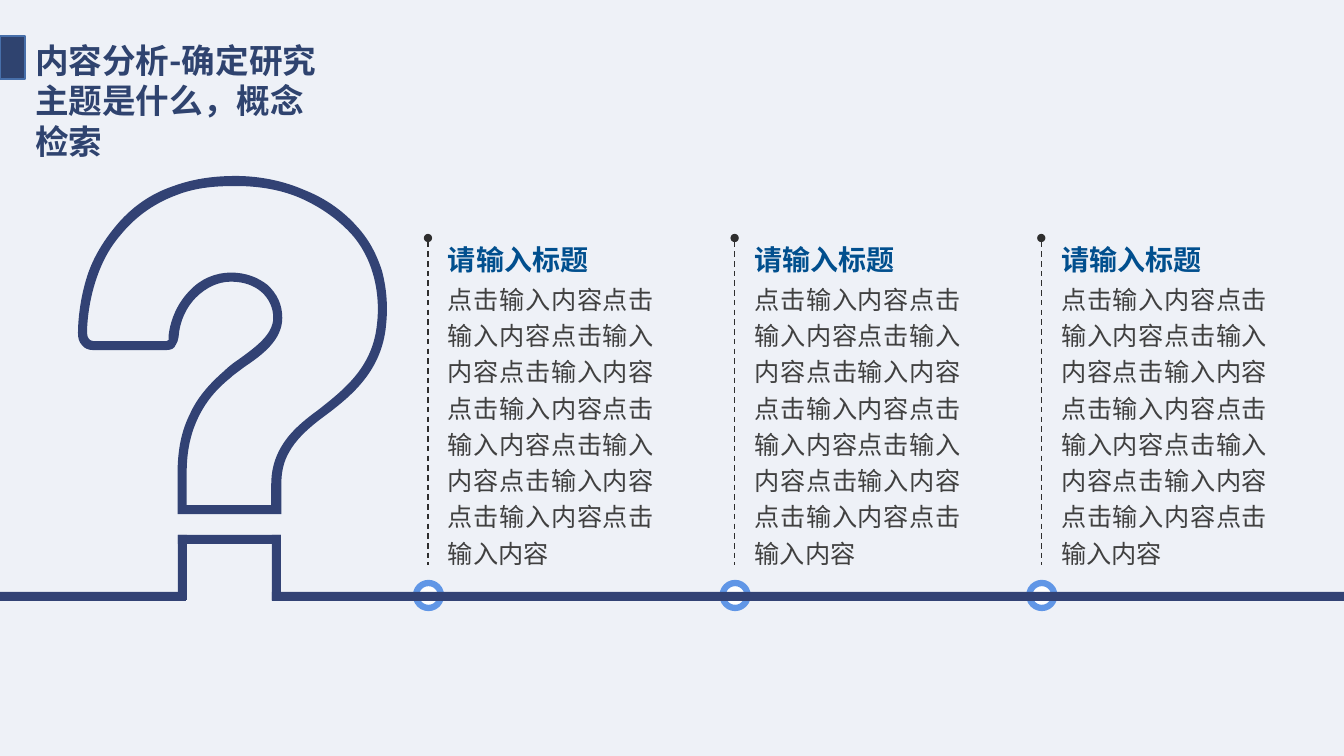
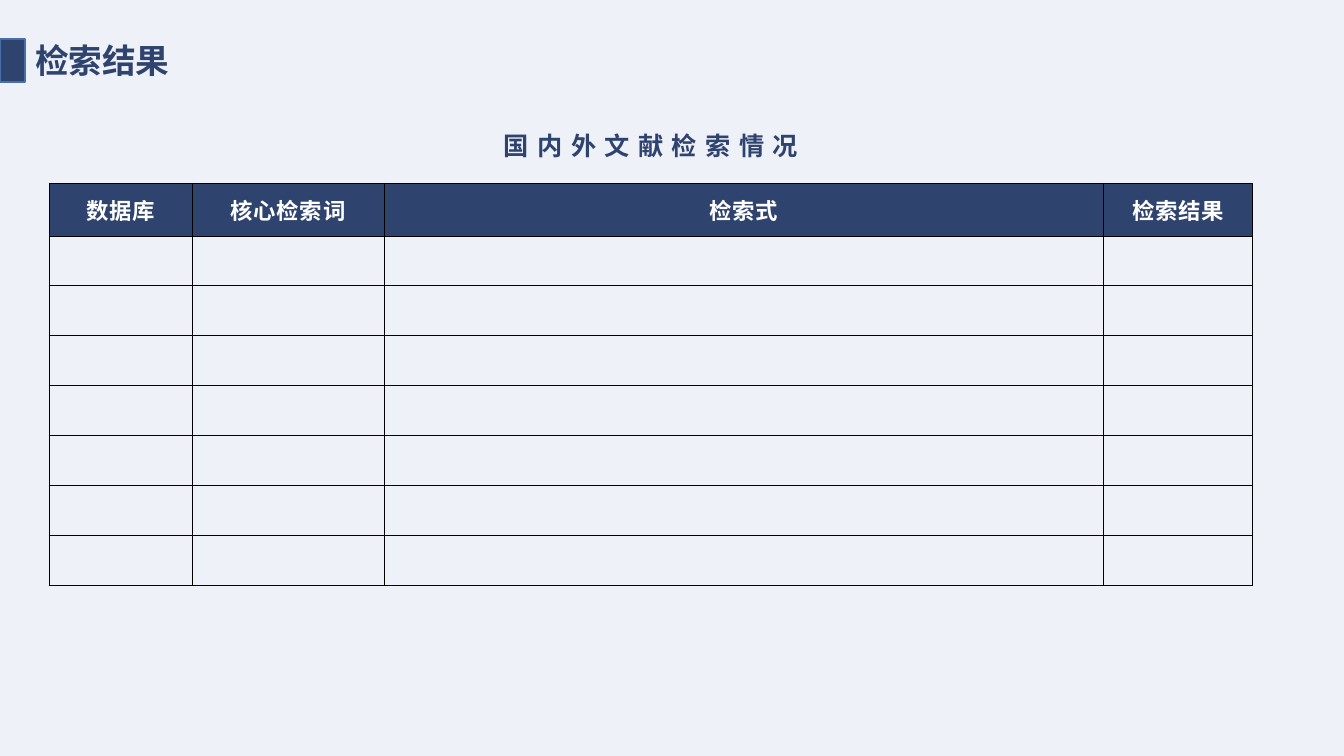
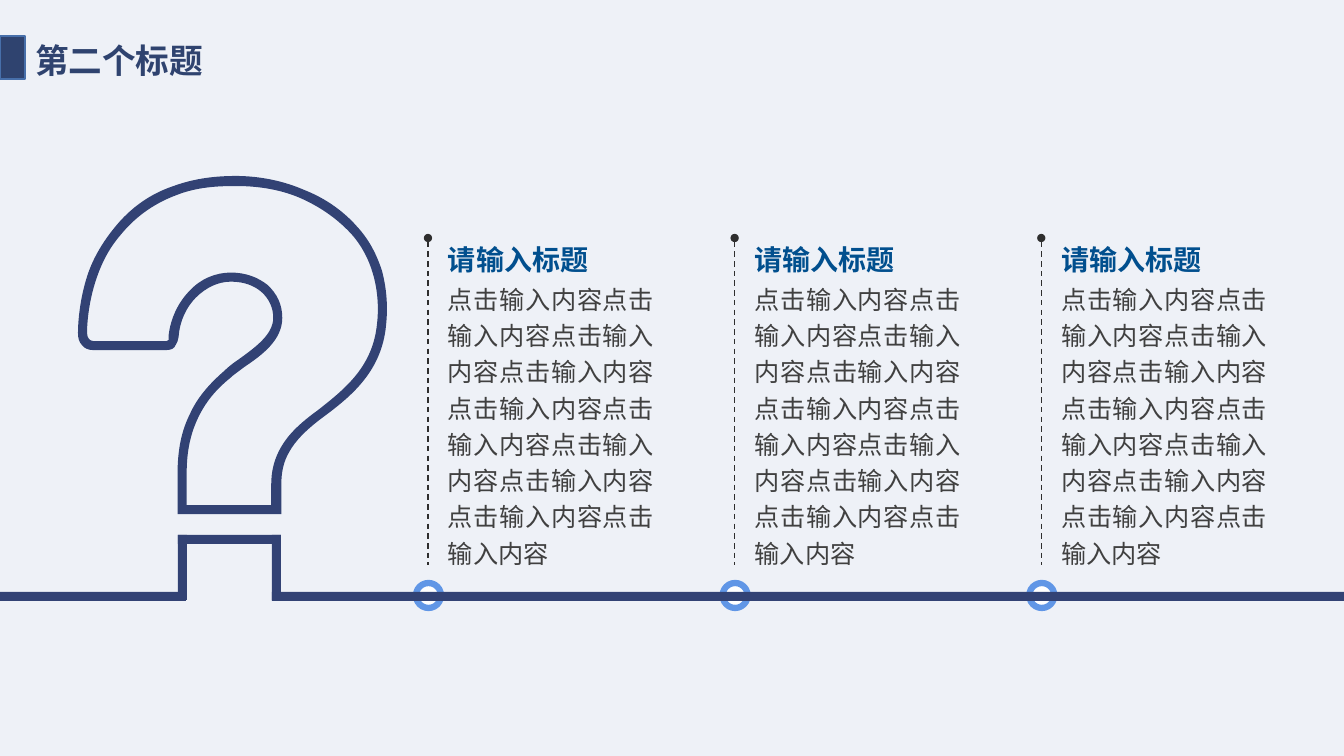
import pptx
import pptx.util
import pptx.dml.color
import pptx.enum.dml
import pptx.enum.shapes
import pptx.enum.text
import pptx.oxml.ns
from lxml import etree

EMU_PER_PX = 914400 / 100.8
SLIDE_W, SLIDE_H = 1344, 756
FONT = "Noto Sans CJK SC"
COLORS = {
    "background": "EEF1F7",
    "title": "2F436F",
    "tag_line": "476FAA",
    "stroke": "324274",
    "heading": "014F8E",
    "body": "404040",
    "dash": "2E2E2E",
    "ring": "6096E6",
    "white": "FFFFFF",
    "border": "000000",
}
STROKE = 9

HEADING = "请输入标题"
BODY = "点击输入内容" * 10
CAPTION = "国内外文献检索情况"
HEADERS = ["数据库", "核心检索词", "检索式", "检索结果"]
COLUMN_WIDTHS = [143, 192, 720, 149]
ROW_HEIGHTS = [78, 53] + [50] * 7

# Question mark contours on a 308 x 336 grid: pairs are line ends,
# six numbers are the two control points and the end of a curve
GLYPH_W = 308
OUTER = [
    (88, 173), (15, 173),
    (10, 173, 6, 171, 4, 168), (1, 165, 0, 161, 0, 156),
    (0, 144, 2, 122, 9, 100), (14, 84, 23, 68, 35, 53),
    (53, 30, 74, 17, 95, 10), (117, 2, 138, 0, 157, 0),
    (175, 0, 200, 3, 225, 14), (243, 21, 262, 33, 277, 50),
    (290, 64, 297, 79, 302, 94), (307, 113, 308, 131, 306, 149),
    (304, 170, 296, 188, 284, 203), (273, 217, 258, 229, 243, 240),
    (227, 252, 216, 263, 210, 274), (204, 284, 202, 295, 202, 307),
    (202, 331), (202, 336), (197, 336), (104, 336), (99, 336), (99, 331), (99, 295),
    (99, 272, 103, 253, 111, 237), (118, 221, 130, 207, 145, 194),
    (149, 190, 154, 186, 160, 182), (175, 171, 194, 158, 194, 141),
    (194, 131, 190, 122, 182, 115), (175, 109, 165, 105, 152, 105),
    (139, 105, 127, 111, 117, 121), (108, 130, 101, 144, 100, 160),
    (99, 163, 99, 166, 97, 168), (96, 171, 93, 173, 88, 173),
]
INNER = [
    (15, 164), (88, 164),
    (89, 164, 89, 164, 90, 163), (90, 163, 90, 161, 90, 159),
    (92, 141, 100, 125, 111, 114), (122, 102, 137, 96, 152, 96),
    (167, 96, 179, 101, 188, 108), (198, 117, 203, 128, 203, 141),
    (203, 163, 183, 178, 165, 190), (160, 194, 155, 197, 151, 201),
    (136, 213, 126, 226, 119, 241), (112, 256, 108, 273, 108, 295),
    (108, 327), (192, 327), (192, 307),
    (192, 293, 195, 281, 202, 269), (209, 257, 220, 246, 238, 233),
    (252, 222, 266, 211, 277, 197), (288, 183, 295, 167, 297, 148),
    (299, 132, 298, 114, 293, 97), (289, 83, 282, 69, 271, 57),
    (256, 41, 239, 30, 221, 22), (198, 12, 174, 10, 157, 10),
    (139, 10, 118, 11, 98, 19), (79, 26, 59, 38, 42, 59),
    (30, 73, 23, 88, 18, 103), (11, 124, 9, 145, 9, 156),
    (9, 159, 10, 161, 11, 162), (12, 163, 13, 164, 15, 164),
]

SHAPE = pptx.enum.shapes.MSO_SHAPE
ALIGN = pptx.enum.text.PP_ALIGN
GROW = pptx.enum.text.MSO_AUTO_SIZE.SHAPE_TO_FIT_TEXT
qn = pptx.oxml.ns.qn


# Basic helpers
def px(n):
    return pptx.util.Emu(round(n * EMU_PER_PX))


def rgb(name):
    return pptx.dml.color.RGBColor.from_string(COLORS[name])


def add_xml(parent, tag, **attrs):
    return etree.SubElement(parent, qn(tag), attrs)


def paint(sp, fill, line=None, width=1):
    sp.shadow.inherit = False
    sp.fill.solid()
    sp.fill.fore_color.rgb = rgb(fill)
    if line:
        sp.line.color.rgb = rgb(line)
        sp.line.width = pptx.util.Pt(width)
    else:
        sp.line.fill.background()


def add_box(parent, kind, x, y, w, h, fill, line=None, width=1):
    sp = parent.shapes.add_shape(kind, px(x), px(y), px(w), px(h))
    paint(sp, fill, line, width)


def format_run(r, size, color, bold=False, spacing=0):
    r.font.size = pptx.util.Pt(size)
    r.font.bold = bold
    r.font.color.rgb = rgb(color)
    r.font.name = FONT
    rpr = r.font._element
    add_xml(rpr, "a:ea", typeface=FONT)
    if spacing:
        rpr.set("spc", str(round(spacing * 100)))


def write(tf, text, size, color, bold=False, align=ALIGN.LEFT, spacing=0):
    tf.text = text
    p = tf.paragraphs[0]
    p.alignment = align
    format_run(p.runs[0], size, color, bold, spacing)
    return p


def add_label(parent, x, y, w, h, *style, **options):
    tf = parent.shapes.add_textbox(px(x), px(y), px(w), px(h)).text_frame
    tf.word_wrap = True
    tf.auto_size = GROW
    tf.margin_left = tf.margin_right = tf.margin_top = tf.margin_bottom = 0
    return write(tf, *style, **options)


# Title and the tag at the left edge
def add_titled_slide(prs, title, lines=1, tag_y=36):
    slide = prs.slides.add_slide(prs.slide_layouts[5])
    sp = slide.shapes.title
    sp.left, sp.top, sp.width, sp.height = px(25), px(35), px(313), px(10 + 40 * lines)
    tf = sp.text_frame
    tf.word_wrap = True
    tf.auto_size = GROW
    tf.vertical_anchor = pptx.enum.text.MSO_ANCHOR.TOP
    write(tf, title, 24, "title", True)
    add_box(slide, SHAPE.RECTANGLE, 0, tag_y, 25, 43, "title", "tag_line")
    return slide


# Question mark outline
def add_question_mark(slide, x, y, w):
    # Open dot below the hook
    left, right, top = x + 100, x + 194, y + 359
    add_box(slide, SHAPE.RECTANGLE, left, top, right - left + STROKE, STROKE, "stroke")
    for side in (left, right):
        add_box(slide, SHAPE.RECTANGLE, side, top, STROKE, 65, "stroke")

    # Hook, first with straight sides through the end points
    builder = slide.shapes.build_freeform(*OUTER[0], scale=px(w) / GLYPH_W)
    builder.add_line_segments([seg[-2:] for seg in OUTER[1:]], close=True)
    builder.move_to(*INNER[0])
    builder.add_line_segments([seg[-2:] for seg in INNER[1:]], close=True)
    sp = builder.convert_to_shape(px(x), px(y))
    paint(sp, "stroke")

    # Sides with control points become curves
    sides = list(sp._element.iter(qn("a:lnTo")))
    for side, seg in zip(sides, OUTER[1:] + INNER[1:]):
        if len(seg) == 6:
            side.tag = qn("a:cubicBezTo")
            side.remove(side[0])
            for cx, cy in zip(seg[::2], seg[1::2]):
                add_xml(side, "a:pt", x=str(cx), y=str(cy))


# One timeline entry: dashed stem, heading, body and ring
def add_entry(slide, x, y):
    group = slide.shapes.add_group_shape()
    stem = group.shapes.add_connector(
        pptx.enum.shapes.MSO_CONNECTOR.STRAIGHT, px(x), px(y), px(x), px(y + 327))
    stem.line.color.rgb = rgb("dash")
    stem.line.width = pptx.util.Pt(1)
    stem.line.dash_style = pptx.enum.dml.MSO_LINE.DASH
    add_xml(stem.line._get_or_add_ln(), "a:headEnd", type="oval")
    add_xml(stem._element.spPr, "a:effectLst")

    add_label(group, x + 20, y + 4, 151, 34, HEADING, 20, "heading", True)
    p = add_label(group, x + 20, y + 40, 206, 293, BODY, 18, "body", align=ALIGN.JUSTIFY)
    p.line_spacing = 1.2
    add_box(group, SHAPE.OVAL, x - 12, y + 345, 25, 25, "white", "ring", 4.5)


def add_timeline(slide, x, y, w, count=3):
    for i in range(count):
        add_entry(slide, x + w * i / count, y)
    # Ground line, open under the dot
    for start, end in ((0, 186), (272, SLIDE_W)):
        add_box(slide, SHAPE.RECTANGLE, start, y + 354, end - start, STROKE, "stroke")


def add_question_slide(prs, title, lines=1):
    slide = add_titled_slide(prs, title, lines)
    add_question_mark(slide, 78, 176, 310)
    add_timeline(slide, 428, 238, 920)


# Search result table
def style_cell(cell, fill, sides):
    tcpr = cell._tc.get_or_add_tcPr()
    for side in "LRTB":
        ln = add_xml(tcpr, "a:ln" + side, w=str(pptx.util.Pt(0.75)))
        if side in sides:
            add_xml(add_xml(ln, "a:solidFill"), "a:srgbClr", val=COLORS["border"])
        else:
            add_xml(ln, "a:noFill")
    cell.fill.solid()
    cell.fill.fore_color.rgb = rgb(fill)
    cell.vertical_anchor = pptx.enum.text.MSO_ANCHOR.MIDDLE


def add_result_table(slide, x, y):
    table = slide.shapes.add_table(
        len(ROW_HEIGHTS), len(COLUMN_WIDTHS), px(x), px(y),
        px(sum(COLUMN_WIDTHS)), px(sum(ROW_HEIGHTS))).table
    table.horz_banding = False
    for column, w in zip(table.columns, COLUMN_WIDTHS):
        column.width = px(w)
    for i, (row, h) in enumerate(zip(table.rows, ROW_HEIGHTS)):
        row.height = px(h)
        for cell in row.cells:
            style_cell(cell, "title" if i == 1 else "background", "LRTB" if i else "B")

    caption = table.cell(0, 0)
    caption.merge(table.cell(0, len(HEADERS) - 1))
    write(caption.text_frame, CAPTION, 18, "title", True, ALIGN.CENTER, 6)
    for i, header in enumerate(HEADERS):
        write(table.cell(1, i).text_frame, header, 16, "white", True, ALIGN.CENTER, 0.6)


def main():
    prs = pptx.Presentation()
    prs.slide_width, prs.slide_height = px(SLIDE_W), px(SLIDE_H)
    fill = prs.slide_master.background.fill
    fill.solid()
    fill.fore_color.rgb = rgb("background")

    add_question_slide(prs, "内容分析-确定研究主题是什么，概念检索", lines=3)
    add_result_table(add_titled_slide(prs, "检索结果", tag_y=39), 49, 105)
    add_question_slide(prs, "第二个标题")
    prs.save("out.pptx")


if __name__ == "__main__":
    main()
